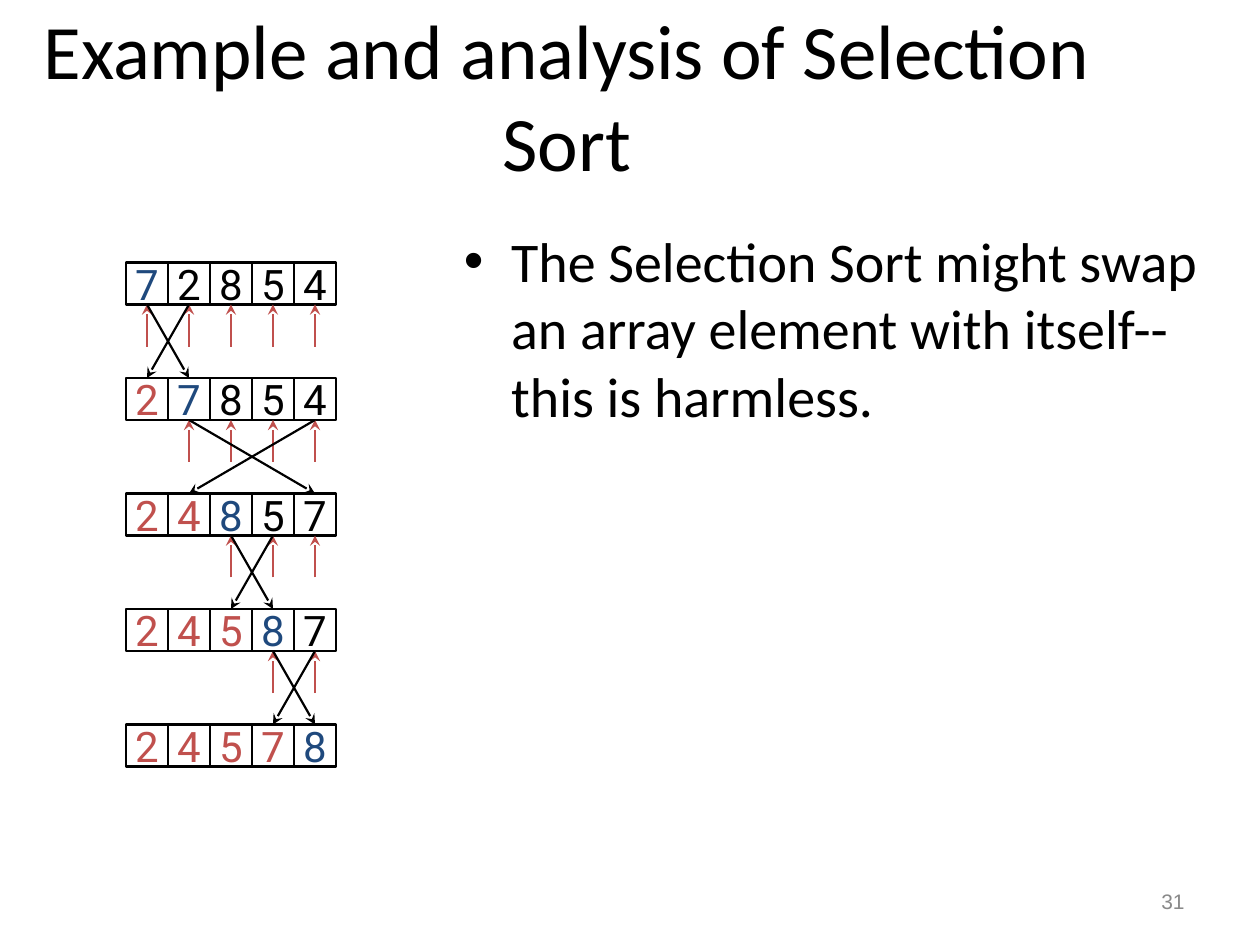
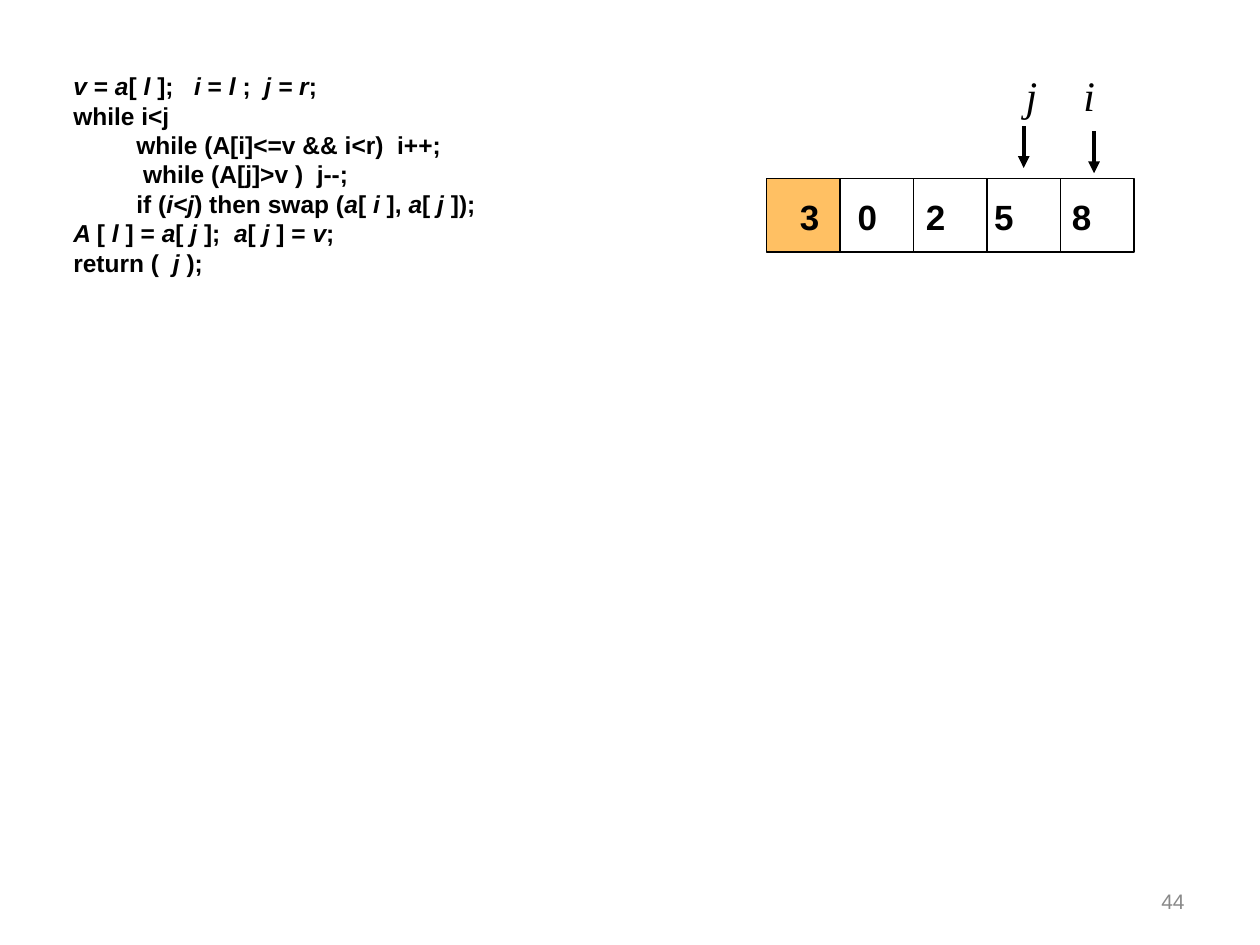
import pptx
import pptx.util
import pptx.dml.color
import pptx.enum.shapes
import pptx.enum.text
import pptx.oxml.ns
import lxml.etree

COLORS = {"black": "000000", "sorted": "C0504D", "current": "1F497D",
          "pivot": "FFC063", "number": "898989"}
RGB = {name: pptx.dml.color.RGBColor.from_string(value) for name, value in COLORS.items()}
ALIGN = pptx.enum.text.PP_ALIGN
MIDDLE = pptx.enum.text.MSO_ANCHOR.MIDDLE
SHAPES = pptx.enum.shapes.MSO_SHAPE
STRAIGHT = pptx.enum.shapes.MSO_CONNECTOR.STRAIGHT
qn = pptx.oxml.ns.qn
Pt = pptx.util.Pt

presentation = pptx.Presentation()
presentation.slide_width = pptx.util.Inches(10)
presentation.slide_height = pptx.util.Inches(7.5)

# The slide is a grid of 120 columns and 90 rows of square units
UNIT = presentation.slide_width / 120


def write(shape, text, size, font="Arial", color="black", align=ALIGN.LEFT,
          anchor=None, wrap=True, bold=None, italic=False):
    """Fill a shape with text; asterisks switch italics on and off."""
    frame = shape.text_frame
    frame.word_wrap = wrap
    frame.vertical_anchor = anchor
    for index, line in enumerate(text.split("\n")):
        paragraph = frame.add_paragraph() if index else frame.paragraphs[0]
        paragraph.alignment = align
        for part, words in enumerate(line.split("*")):
            if words:
                run = paragraph.add_run()
                run.text = words
                run.font.size = Pt(size)
                run.font.name = font
                run.font.bold = bold
                run.font.italic = italic or part % 2 == 1
                run.font.color.rgb = RGB[color]
    return frame.paragraphs[0]


def add_arrow(slide, start, end, color="black", width=1.25, head="stealth"):
    points = [round(length * UNIT) for length in start + end]
    arrow = slide.shapes.add_connector(STRAIGHT, *points)
    arrow.line.color.rgb = RGB[color]
    arrow.line.width = Pt(width)
    properties = arrow.element.spPr
    lxml.etree.SubElement(properties.find(qn("a:ln")), qn("a:tailEnd"), type=head)
    lxml.etree.SubElement(properties, qn("a:effectLst"))
    return arrow


# Both slides: blank layout and slide number
slides = []
for number in ("31", "44"):
    slide = presentation.slides.add_slide(presentation.slide_layouts[6])
    box = slide.shapes.add_textbox(*[round(n * UNIT) for n in (86, 83.4, 28, 4.8)])
    write(box, number, 12, color="number", align=ALIGN.RIGHT, anchor=MIDDLE)
    slides.append(slide)
sort_slide, partition_slide = slides

# Selection sort: title and remark
title = sort_slide.shapes.add_textbox(*[round(n * UNIT) for n in (0, 5, 108, 8)])
write(title, "Example and analysis of Selection Sort", 44, "Calibri",
      align=ALIGN.CENTER, anchor=MIDDLE)
remark = sort_slide.shapes.add_textbox(*[round(n * UNIT) for n in (43, 21, 77, 64)])
paragraph = write(remark, "The Selection Sort might swap an array element with "
                  "itself--this is harmless.", 32, "Calibri")
paragraph.space_before = Pt(8)
indent = round(4.5 * UNIT)
paragraph_properties = paragraph._p.get_or_add_pPr()
paragraph_properties.set("marL", str(indent))
paragraph_properties.set("indent", str(-indent))
lxml.etree.SubElement(paragraph_properties, qn("a:buFont"), typeface="Arial")
lxml.etree.SubElement(paragraph_properties, qn("a:buChar"), char="•")

# Selection sort: one row of cells for each pass
CELL, ROW_STEP, LEFT, TOP = 4, 11, 12, 25
values = [7, 2, 8, 5, 4]
last = len(values) - 1
rows = []
swaps = []
for step in range(len(values)):
    row = []
    for column, value in enumerate(values):
        cell = sort_slide.shapes.add_shape(
            SHAPES.FLOWCHART_PROCESS, round((LEFT + column * CELL) * UNIT),
            round((TOP + step * ROW_STEP) * UNIT), round(CELL * UNIT), round(CELL * UNIT))
        cell.shadow.inherit = False
        cell.fill.background()
        cell.line.color.rgb = RGB["black"]
        cell.line.width = Pt(1.5)
        color = "sorted" if column < step else "current" if column == step else "black"
        write(cell, str(value), 24, "Roboto", color, ALIGN.CENTER, MIDDLE, wrap=False)
        row.append(cell)
    rows.append(row)
    if step < last:
        smallest = values.index(min(values[step:]))
        values[step], values[smallest] = values[smallest], values[step]
        swaps.append((step, smallest))

# Selection sort: scanned cells in red, swapped pairs in black
for step, (current, smallest) in enumerate(swaps):
    bottom = TOP + step * ROW_STEP + CELL
    next_top = TOP + (step + 1) * ROW_STEP
    for column in range(step, len(values)):
        center = LEFT + (column + 0.5) * CELL
        scan = add_arrow(sort_slide, (center, bottom + 4), (center, bottom), "sorted")
        scan.end_connect(rows[step][column], 2)
    for source, target in ((current, smallest), (smallest, current)):
        swap = add_arrow(sort_slide, (LEFT + (source + 0.5) * CELL, bottom),
                         (LEFT + (target + 0.5) * CELL, next_top))
        swap.begin_connect(rows[step][source], 2)
        swap.end_connect(rows[step + 1][target], 0)

# Partition: array with the pivot in its first cell
BOX = 7
for column in range(5):
    cell = partition_slide.shapes.add_shape(
        SHAPES.RECTANGLE, round((73 + column * BOX) * UNIT), round(17 * UNIT),
        round(BOX * UNIT), round(BOX * UNIT))
    cell.shadow.inherit = False
    cell.line.color.rgb = RGB["black"]
    cell.line.width = Pt(1 if column == 4 else 0.75)
    if column == 0:
        cell.fill.solid()
        cell.fill.fore_color.rgb = RGB["pivot"]
    else:
        cell.fill.background()

digits = partition_slide.shapes.add_textbox(*[round(n * UNIT) for n in (75, 18, 32, 9.2)])
paragraph = write(digits, "3\t0\t2\t5\t8", 20, bold=True)
tab_list = lxml.etree.SubElement(paragraph._p.get_or_add_pPr(), qn("a:tabLst"))
for stop in (5.5, 12, 18.5, 25.9):
    lxml.etree.SubElement(tab_list, qn("a:tab"), pos=str(round(stop * UNIT)), algn="l")

# Partition: index letters with their arrows
for letter, left, arrow_x, arrow_top in (("i", 102, 104.2, 12.5), ("j", 96.5, 97.5, 12)):
    label = partition_slide.shapes.add_textbox(*[round(n * UNIT) for n in (left, 6, 3.5, 6)])
    write(label, letter, 24, "Times New Roman", wrap=False, italic=True)
    add_arrow(partition_slide, (arrow_x, arrow_top), (arrow_x, arrow_top + 4),
              width=2.25, head="triangle")

# Partition: code
CODE = """*v *= *a*[ *l *];   *i* = *l *;  *j = r*;
while i<j
\twhile (A[i]<=v && i<r)  i++;
\t while (A[j]>v )  j--;
\tif (*i<j*) then swap (*a*[ *i *], *a*[ *j *]);
*A *[ *l *] = *a*[ *j *];  *a*[ *j *] = *v*;
return (  *j *);"""
code = partition_slide.shapes.add_textbox(*[round(n * UNIT) for n in (5.8, 6.2, 47.3, 20.9)])
write(code, CODE, 14, bold=True, wrap=False)

presentation.save("out.pptx")
